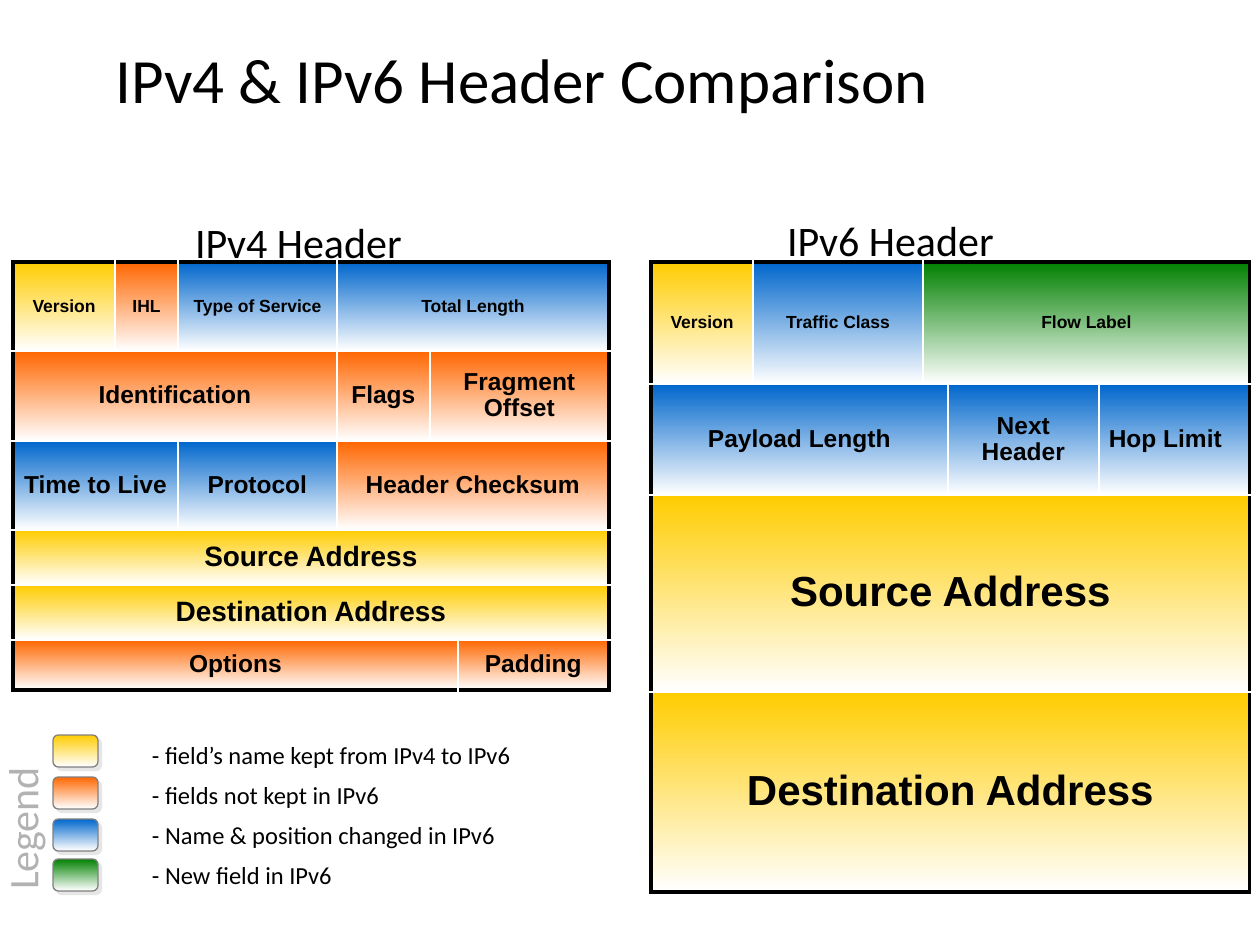
from lxml import etree
from pptx import Presentation
from pptx.dml.color import RGBColor
from pptx.enum.shapes import MSO_SHAPE
from pptx.enum.text import MSO_ANCHOR as Anchor, PP_ALIGN as Align
from pptx.oxml import parse_xml
from pptx.oxml.ns import nsdecls, qn
from pptx.util import Inches, Pt

PX = Inches(1) // 126
BLACK = RGBColor(0, 0, 0)
WHITE = RGBColor(255, 255, 255)
GOLD = RGBColor(255, 204, 0)     # name kept
ORANGE = RGBColor(255, 102, 0)   # not kept
BLUE = RGBColor(0, 102, 204)     # changed
GREEN = RGBColor(0, 128, 0)      # new
GRAY = RGBColor(128, 128, 128)
SILVER = RGBColor(178, 178, 178)


def write(frame, text, size=14, font="Calibri", color=BLACK, bold=False,
          align=Align.LEFT, line=0.95, gap=0):
    for i, words in enumerate(text.split("\n")):
        para = frame.add_paragraph() if i else frame.paragraphs[0]
        para.alignment = align
        para.line_spacing = line
        para.space_before = Pt(gap if i else 0)
        run = para.add_run()
        run.text = words
        run.font.size = Pt(size)
        run.font.name = font
        run.font.bold = bold
        run.font.color.rgb = color


def shade(fill, color):
    fill.gradient()
    fill.gradient_angle = 270
    for stop, tone, spot in zip(fill.gradient_stops, (color, WHITE), (0, 1)):
        stop.color.rgb = tone
        stop.position = spot


deck = Presentation()
deck.slide_width, deck.slide_height = Inches(10), Inches(7.5)
slide = deck.slides.add_slide(deck.slide_layouts[6])
shapes = slide.shapes

# Header tables: left edge, column widths, row heights,
# then each row as font size and fields of (name, colour, span)
tables = [
    (13, (102, 63, 159, 93, 28, 151), (89, 90, 89, 55, 55, 50), [
        (10, [("Version", GOLD, 1), ("IHL", ORANGE, 1),
              ("Type of Service", BLUE, 1), ("Total Length", BLUE, 3)]),
        (14, [("Identification", ORANGE, 3), ("Flags", ORANGE, 1),
              ("Fragment Offset", ORANGE, 2)]),
        (14, [("Time to Live", BLUE, 2), ("Protocol", BLUE, 1),
              ("Header Checksum", ORANGE, 3)]),
        (16, [("Source Address", GOLD, 6)]),
        (16, [("Destination Address", GOLD, 6)]),
        (14, [("Options", ORANGE, 5), ("Padding", ORANGE, 1)]),
    ]),
    (651, (102, 170, 24, 151, 151), (122, 111, 197, 200), [
        (10, [("Version", GOLD, 1), ("Traffic Class", BLUE, 1),
              ("Flow Label", GREEN, 3)]),
        (14, [("Payload Length", BLUE, 3), ("Next Header", BLUE, 1),
              ("Hop Limit", BLUE, 1)]),
        (24, [("Source Address", GOLD, 5)]),
        (24, [("Destination Address", GOLD, 5)]),
    ]),
]
for left, cols, rows, fields in tables:
    grid = shapes.add_table(len(rows), len(cols), left * PX, 262 * PX,
                            sum(cols) * PX, sum(rows) * PX).table
    grid.first_row = grid.horz_banding = False
    for col, wide in zip(grid.columns, cols):
        col.width = wide * PX
    for row, high in zip(grid.rows, rows):
        row.height = high * PX
    for r, (size, row) in enumerate(fields):
        c = 0
        for name, color, span in row:
            end = c + span
            # Black outer frame, white lines inside
            outer = {"lnL": c == 0, "lnR": end == len(cols),
                     "lnT": r == 0, "lnB": r == len(rows) - 1}
            for k in range(c, end):
                cell = grid.cell(r, k)
                cell.margin_left = cell.margin_right = 10 * PX
                cell.margin_top = cell.margin_bottom = 5 * PX
                cell.vertical_anchor = Anchor.MIDDLE
                for tag, edge in outer.items():
                    tone, wide = (BLACK, 2.25) if edge else (WHITE, 1)
                    cell._tc.get_or_add_tcPr().append(parse_xml(
                        f'<a:{tag} {nsdecls("a")} w="{Pt(wide)}"><a:solidFill>'
                        f'<a:srgbClr val="{tone}"/></a:solidFill></a:{tag}>'))
                shade(cell.fill, color)
            cell = grid.cell(r, c)
            if span > 1:
                cell.merge(grid.cell(r, end - 1))
            align = Align.LEFT if name == "Hop Limit" else Align.CENTER
            write(cell.text_frame, name, size=size, font="Arial", bold=True,
                  align=align)
            c = end

# Legend keys
for top, color in zip((735, 777, 819, 859), (GOLD, ORANGE, BLUE, GREEN)):
    key = shapes.add_shape(MSO_SHAPE.ROUNDED_RECTANGLE,
                           53 * PX, top * PX, 45 * PX, 32 * PX)
    shade(key.fill, color)
    key.line.color.rgb = GRAY
    key.line.width = Pt(0.75)
    key.shadow.inherit = False
    cast = etree.SubElement(key._element.spPr.find(qn("a:effectLst")),
                            qn("a:outerShdw"), dist=str(Pt(2.8)),
                            dir="2700000", algn="ctr", rotWithShape="0")
    etree.SubElement(cast, qn("a:srgbClr"), val="E7E6E6")

# Title, headings and legend text: place, insets, turn, format
notes = ("- field’s name kept from IPv4 to IPv6\n- fields not kept in IPv6\n"
         "- Name & position changed in IPv6\n- New field in IPv6")
texts = [
    ("IPv4 & IPv6 Header Comparison", (103, 18, 1051, 130), (13, 6), 0,
     dict(size=36, line=0.9)),
    ("IPv4 Header", (185, 212, 261, 60), (10, 5), 0, dict(size=24, line=1)),
    ("IPv6 Header", (777, 210, 261, 60), (10, 5), 0, dict(size=24, line=1)),
    (notes, (95, 737, 472, 166), (57, 5), 0, dict(gap=7)),
    ("Legend", (-62, 785, 173, 59), (11, 5), 270,
     dict(size=24, color=SILVER)),
]
for text, place, (side, top), turn, style in texts:
    box = shapes.add_textbox(*(n * PX for n in place))
    box.rotation = turn
    frame = box.text_frame
    frame.word_wrap = True
    frame.margin_left, frame.margin_right = side * PX, 10 * PX
    frame.margin_top = frame.margin_bottom = top * PX
    frame.vertical_anchor = Anchor.MIDDLE if style.get("size") == 36 else Anchor.TOP
    write(frame, text, **style)

deck.save("out.pptx")
